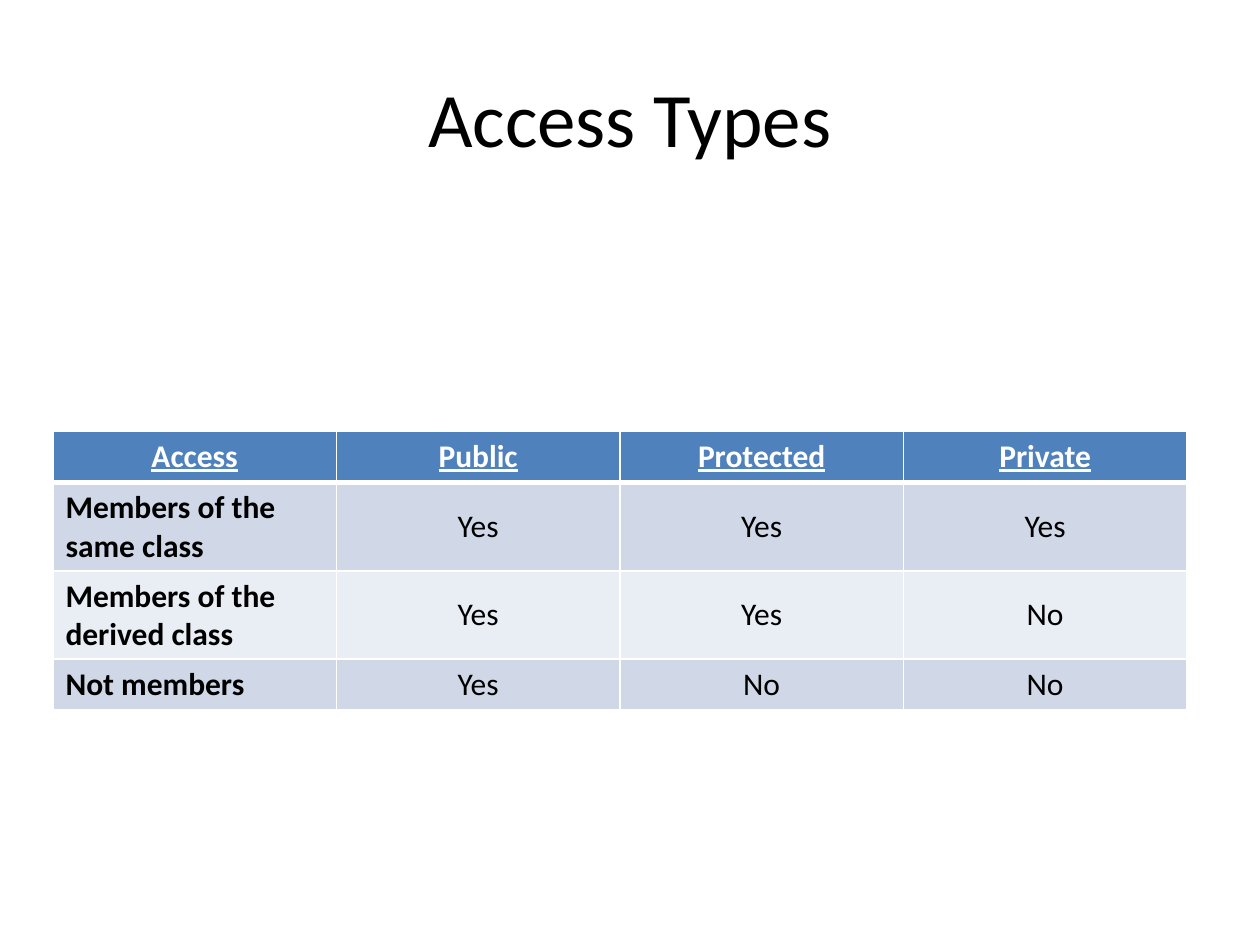
from pptx import Presentation
from pptx.dml.color import RGBColor as RGB
from pptx.enum.text import MSO_ANCHOR as Anchor, PP_ALIGN as Align
from pptx.oxml.ns import qn
from pptx.util import Inches, Pt
from lxml.etree import SubElement

HUES = {"head": "4F81BD", "odd": "D0D8E8", "even": "E9EDF4",
        "ink": "000000", "line": "FFFFFF"}
ROWS = [
    ["Access", "Public", "Protected", "Private"],
    ["Members of the same class", "Yes", "Yes", "Yes"],
    ["Members of the derived class", "Yes", "Yes", "No"],
    ["Not members", "Yes", "No", "No"],
]
HIGH = [0.41, 0.7, 0.7, 0.4]
WIDE = 9


def write(frame, text, align, hue, **form):
    para = frame.paragraphs[0]
    para.alignment = align
    run = para.add_run()
    run.text = text
    run.font.color.rgb = RGB.from_string(HUES[hue])
    for key, val in {"name": "Calibri", **form}.items():
        setattr(run.font, key, val)


def edge(cell, widths):
    """Draw the cell's borders; widths maps a side letter to points."""
    props = cell._tc.get_or_add_tcPr()
    for side, pts in widths.items():
        line = SubElement(props, qn(f"a:ln{side}"), w=str(Pt(pts)))
        fill = SubElement(line, qn("a:solidFill"))
        SubElement(fill, qn("a:srgbClr"), val=HUES["line"])


deck = Presentation()
deck.slide_width, deck.slide_height = Inches(10), Inches(7.5)
slide = deck.slides.add_slide(deck.slide_layouts[6])

# Title
left = (10 - WIDE) / 2
title = slide.shapes.add_textbox(
    Inches(left), Inches(0.3), Inches(WIDE), Inches(1.25)).text_frame
title.word_wrap = True
title.vertical_anchor = Anchor.MIDDLE
write(title, "Access Types", Align.CENTER, "ink", size=Pt(44))

# Access table
table = slide.shapes.add_table(
    len(ROWS), len(ROWS[0]), Inches(0.42), Inches(3.42),
    Inches(WIDE), Inches(sum(HIGH))).table
for col in table.columns:
    col.width = Inches(WIDE / len(ROWS[0]))

for r, row in enumerate(ROWS):
    table.rows[r].height = Inches(HIGH[r])
    head = r == 0
    band = "head" if head else "odd" if r % 2 else "even"
    for c, text in enumerate(row):
        cell = table.cell(r, c)
        label = c == 0 and not head
        edge(cell, {"L": 1, "R": 1, "T": 3 if r == 1 else 1,
                    "B": 3 if head else 1})
        cell.fill.solid()
        cell.fill.fore_color.rgb = RGB.from_string(HUES[band])
        cell.vertical_anchor = Anchor.TOP if head or label else Anchor.MIDDLE
        write(cell.text_frame, text, Align.LEFT if label else Align.CENTER,
              "line" if head else "ink", size=Pt(18),
              bold=head or label, underline=head)

deck.save("out.pptx")
